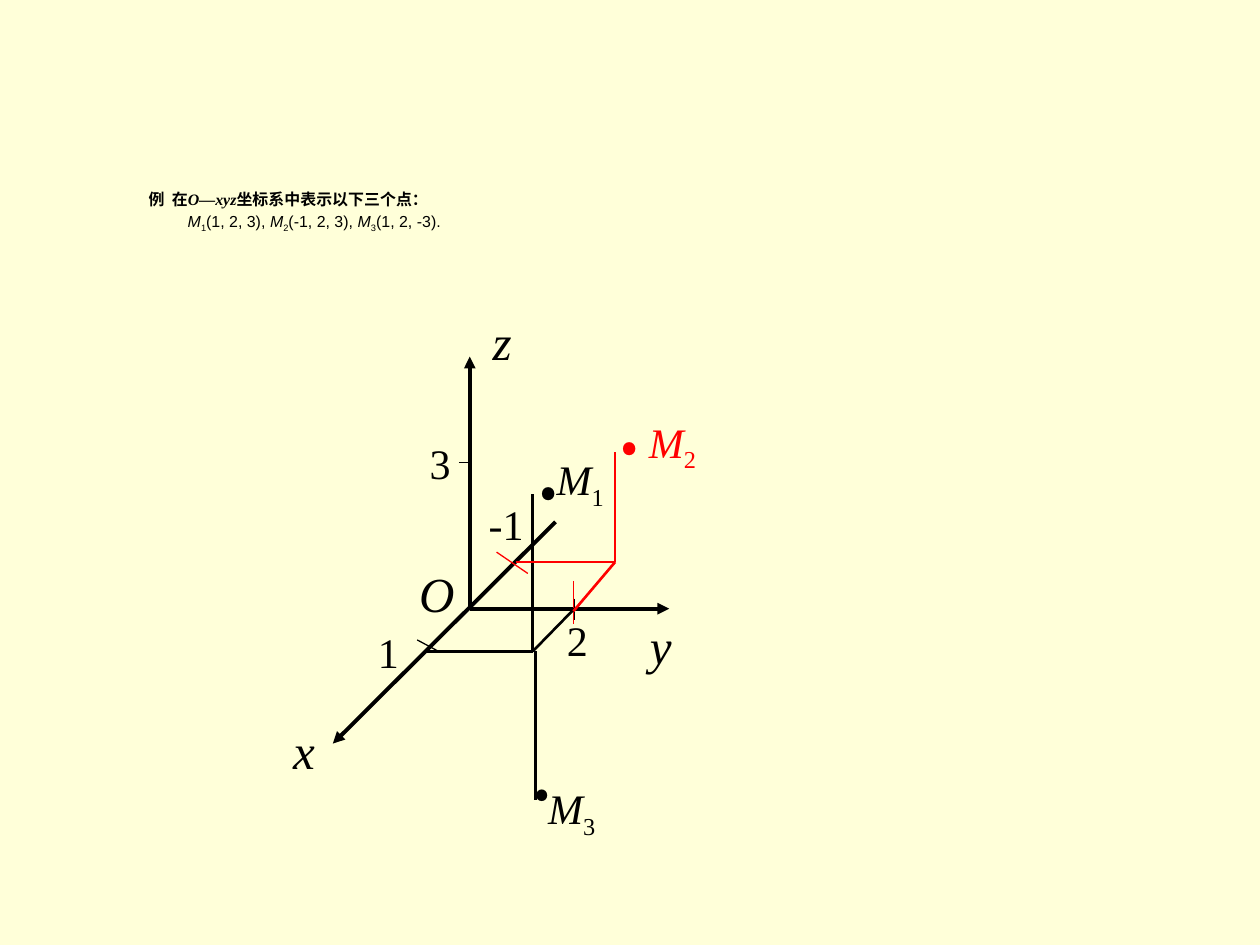
from dataclasses import dataclass

from lxml.etree import SubElement
from pptx import Presentation
from pptx.dml.color import RGBColor
from pptx.enum.shapes import MSO_CONNECTOR
from pptx.enum.text import MSO_ANCHOR, MSO_AUTO_SIZE, PP_ALIGN
from pptx.oxml.ns import qn
from pptx.util import Cm, Pt

BLACK, RED, CREAM = "000000", "FF0000", "FFFFD9"
SERIF, SANS, CJK = "Times New Roman", "Arial", "Noto Sans CJK SC"
AXIS, EDGE, TICK = 2.25, 1.5, 0.75
SUBSCRIPT = "-25000"


@dataclass
class Segment:
    start: tuple
    end: tuple
    width: float
    color: str = BLACK
    arrow: bool = False


@dataclass
class Label:
    text: str
    left: float
    top: float
    width: float
    height: float
    size: float = 24
    color: str = BLACK
    font: str = SERIF
    italic: bool = False
    subscript: str = ""
    anchor: MSO_ANCHOR = MSO_ANCHOR.MIDDLE
    wrap: bool = False


def rgb(color: str) -> RGBColor:
    return RGBColor.from_string(color)


def add_run(paragraph, text: str, font: str, size: float, color: str = BLACK,
            bold: bool = False, italic: bool = False, subscript: bool = False) -> None:
    run = paragraph.add_run()
    run.text = text
    formats = {"name": font, "size": Pt(size), "bold": bold, "italic": italic}
    for attribute, value in formats.items():
        setattr(run.font, attribute, value)
    run.font.color.rgb = rgb(color)
    properties = run._r.get_or_add_rPr()
    SubElement(properties, qn("a:ea"), typeface=CJK)
    if subscript:
        properties.set("baseline", SUBSCRIPT)


def draw_segment(slide, segment: Segment) -> None:
    ends = [Cm(value) for value in (*segment.start, *segment.end)]
    line = slide.shapes.add_connector(MSO_CONNECTOR.STRAIGHT, *ends)
    line.line.width = Pt(segment.width)
    line.line.color.rgb = rgb(segment.color)
    if segment.arrow:
        SubElement(line.line._get_or_add_ln(), qn("a:tailEnd"), type="triangle")
    SubElement(line._element.spPr, qn("a:effectLst"))


def draw_label(slide, label: Label) -> None:
    frame = slide.shapes.add_textbox(
        Cm(label.left), Cm(label.top), Cm(label.width), Cm(label.height)).text_frame
    formats = {"word_wrap": label.wrap, "auto_size": MSO_AUTO_SIZE.SHAPE_TO_FIT_TEXT,
               "vertical_anchor": label.anchor}
    for attribute, value in formats.items():
        setattr(frame, attribute, value)
    paragraph = frame.paragraphs[0]
    add_run(paragraph, label.text, label.font, label.size, label.color, italic=label.italic)
    if label.subscript:
        add_run(paragraph, label.subscript, label.font, label.size, label.color, subscript=True)


def axis_name(text: str, left: float, top: float, width: float) -> Label:
    return Label(text, left, top, width, 1.45, size=28, italic=True)


def tick_value(text: str, left: float, top: float, width: float = 0.91) -> Label:
    return Label(text, left, top, width, 1.27)


def point_name(index: str, left: float, top: float, width: float = 1.45,
               color: str = BLACK, wrap: bool = False) -> Label:
    return Label("M", left, top, width, 1.42, color=color, italic=True,
                 subscript=index, wrap=wrap)


def point_dot(left: float, top: float, width: float = 1.02, height: float = 2.54,
              size: float = 54, color: str = BLACK) -> Label:
    return Label(".", left, top, width, height, size=size, color=color, font=CJK,
                 anchor=MSO_ANCHOR.TOP)


def fill_title(title) -> None:
    title.left, title.top, title.width, title.height = Cm(2.74), Cm(3.61), Cm(22.15), Cm(1.27)
    frame = title.text_frame
    formats = {"word_wrap": True, "auto_size": MSO_AUTO_SIZE.NONE,
               "vertical_anchor": MSO_ANCHOR.MIDDLE}
    for attribute, value in formats.items():
        setattr(frame, attribute, value)
    question, points = frame.paragraphs[0], frame.add_paragraph()
    for paragraph in (question, points):
        paragraph.alignment = PP_ALIGN.LEFT
        paragraph.line_spacing = 1.1

    # Question, with a tab stop after the word for example
    tabs = SubElement(question._p.get_or_add_pPr(), qn("a:tabLst"))
    SubElement(tabs, qn("a:tab"), pos=str(Cm(0.47)), algn="l")
    add_run(question, "例\t在", CJK, 9.1, bold=True)
    add_run(question, "O—xyz", SERIF, 9.1, bold=True, italic=True)
    add_run(question, "坐标系中表示以下三个点：", SANS, 9.1, bold=True)

    # Indented list of the three points
    points._p.get_or_add_pPr().set("marL", str(Cm(0.79)))
    for index, coordinates in (("1", "(1, 2, 3), "), ("2", "(-1, 2, 3), "), ("3", "(1, 2, -3).")):
        add_run(points, "M", SANS, 9.1, italic=True)
        add_run(points, index, SANS, 9.1, subscript=True)
        add_run(points, coordinates, SANS, 9.1)


# Shared corners of the drawing, in centimetres
ORIGIN = (9.47, 12.27)
Y_TWO = (11.58, 12.27)
FRONT_FOOT = (10.74, 13.13)
BACK_FOOT = (12.4, 11.33)

SEGMENTS = [
    # Axes
    Segment((11.2, 10.52), (6.71, 14.99), AXIS, arrow=True),
    Segment(ORIGIN, (13.49, 12.27), AXIS, arrow=True),
    Segment(ORIGIN, (9.47, 7.19), AXIS, arrow=True),
    # Ticks
    Segment(Y_TWO, (11.58, 12.5), TICK),
    Segment((9.25, 9.32), (9.47, 9.32), TICK),
    Segment((11.58, 12.07), (11.58, 12.5), TICK),
    Segment((8.41, 12.9), (8.84, 13.13), TICK),
    Segment((10.01, 11.13), (10.64, 11.56), TICK, RED),
    Segment((11.56, 11.71), (11.56, 12.57), TICK, RED),
    # Edges leading to M1 and M3
    Segment((8.61, 13.13), FRONT_FOOT, EDGE),
    Segment(FRONT_FOOT, Y_TWO, EDGE),
    Segment(FRONT_FOOT, (10.74, 9.96), EDGE),
    Segment((10.8, 13.13), (10.8, 16.13), EDGE),
    # Edges leading to M2
    Segment((10.41, 11.33), BACK_FOOT, EDGE, RED),
    Segment(BACK_FOOT, (11.56, 12.32), EDGE, RED),
    Segment((12.4, 9.12), BACK_FOOT, EDGE, RED),
]

LABELS = [
    axis_name("x", 5.66, 14.4, 0.94),
    axis_name("y", 12.85, 12.27, 0.94),
    axis_name("z", 9.68, 6.15, 0.89),
    axis_name("O", 8.2, 11.23, 1.22),
    tick_value("1", 7.37, 12.5),
    tick_value("2", 11.18, 12.27),
    tick_value("3", 8.41, 8.69),
    tick_value("-1", 9.6, 9.93, 1.22),
    point_name("1", 10.97, 9.02),
    point_name("2", 12.83, 8.26, color=RED),
    point_name("3", 10.8, 15.65, 2.34, wrap=True),
    point_dot(10.54, 8.05),
    point_dot(12.17, 7.14, color=RED),
    point_dot(10.44, 14.33, 0.97, 2.29, size=48),
]


def main() -> None:
    deck = Presentation()
    deck.slide_width, deck.slide_height = Cm(25.4), Cm(19.05)
    slide = deck.slides.add_slide(deck.slide_layouts[5])
    background = slide.background.fill
    background.solid()
    background.fore_color.rgb = rgb(CREAM)
    fill_title(slide.shapes.title)
    for segment in SEGMENTS:
        draw_segment(slide, segment)
    for label in LABELS:
        draw_label(slide, label)
    deck.save("out.pptx")


if __name__ == "__main__":
    main()
